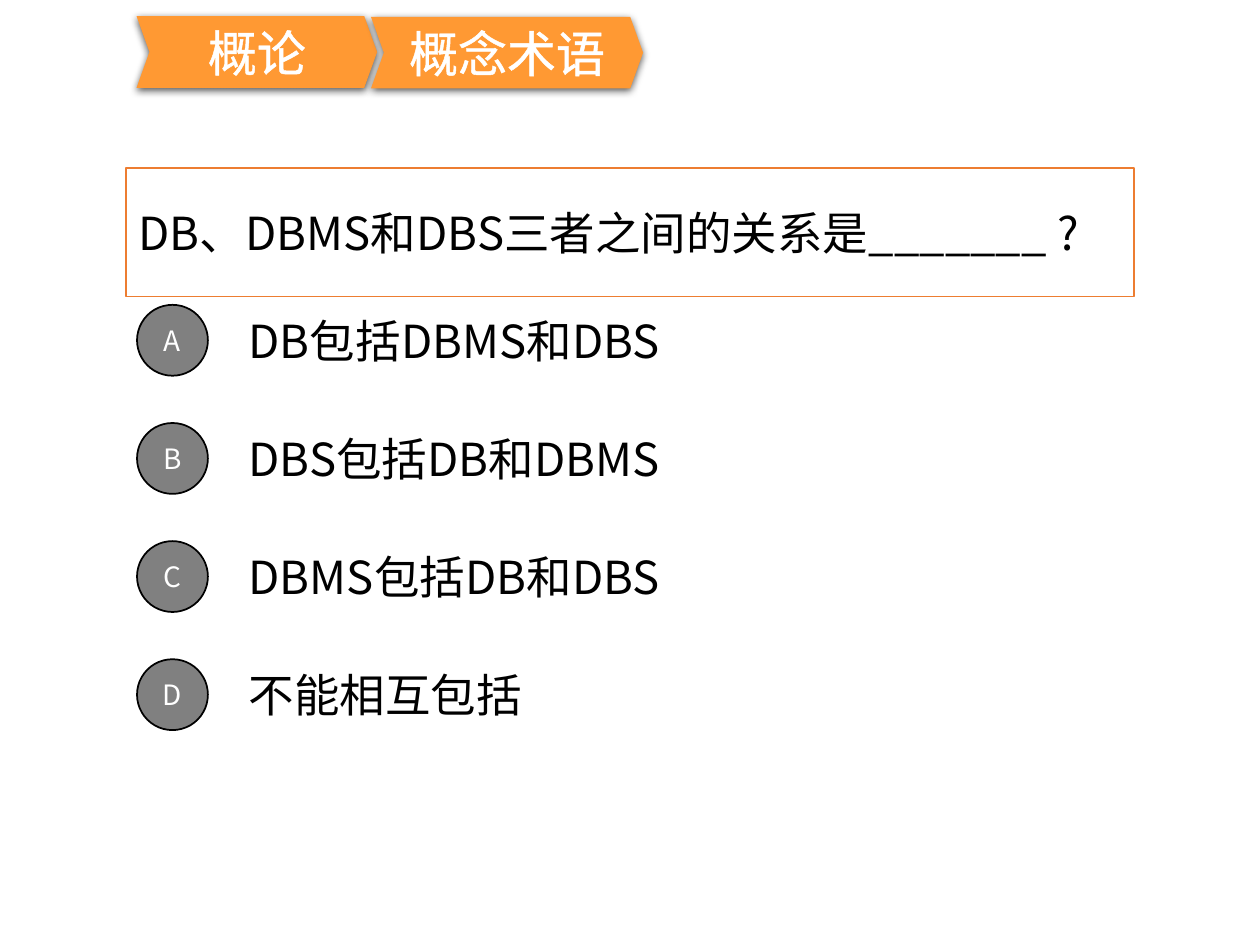
from lxml import etree
from pptx import Presentation
from pptx.dml.color import RGBColor
from pptx.enum import shapes, text
from pptx.oxml import parse_xml
from pptx.oxml.ns import nsdecls, qn
from pptx.util import Pt

FONT = "Noto Sans CJK SC"
COLORS = {"white": "FFFFFF", "black": "000000", "gray": "808080",
          "orange": "FF9933", "border": "ED7D31"}


def set_text(s, words, size, color, align=text.PP_ALIGN.LEFT):
    """Write one vertically centred paragraph and return its font."""
    tf = s.text_frame
    tf.word_wrap = True
    tf.auto_size = text.MSO_AUTO_SIZE.NONE
    tf.vertical_anchor = text.MSO_ANCHOR.MIDDLE
    p = tf.paragraphs[0]
    p.text = words
    p.alignment = align
    p.font.size = Pt(size)
    p.font.name = FONT
    p.font.color.rgb = RGBColor.from_string(COLORS[color])
    props = p._p.pPr.find(qn("a:defRPr"))
    etree.SubElement(props, qn("a:ea"), typeface=FONT)
    return p.font


def set_box(s, fill, line=None):
    s.fill.solid()
    s.fill.fore_color.rgb = RGBColor.from_string(COLORS[fill])
    if line:
        s.line.color.rgb = RGBColor.from_string(COLORS[line])
        s.line.width = Pt(1)
    else:
        s.line.fill.background()


prs = Presentation()
prs.slide_width, prs.slide_height = Pt(720), Pt(540)
slide = prs.slides.add_slide(prs.slide_layouts[5])

# Question
question = slide.shapes.title
question.left, question.top = Pt(72), Pt(96)
question.width, question.height = Pt(576), Pt(73.5)
set_box(question, "white", "border")
set_text(question, "DB、DBMS和DBS三者之间的关系是_______ ?", 26, "black")

# Answers
answers = ["DB包括DBMS和DBS", "DBS包括DB和DBMS", "DBMS包括DB和DBS", "不能相互包括"]
for i, (letter, answer) in enumerate(zip("ABCD", answers)):
    top = 169.2 + i * 67.5
    label = slide.shapes.add_textbox(Pt(135), Pt(top), Pt(504), Pt(50.4))
    set_text(label, answer, 26, "black")
    badge = slide.shapes.add_shape(shapes.MSO_SHAPE.OVAL, Pt(78.3), Pt(top + 5),
                                   Pt(40.5), Pt(40.5))
    badge.shadow.inherit = False
    set_box(badge, "gray", "black")
    set_text(badge, letter, 16, "white", text.PP_ALIGN.CENTER)

# Breadcrumb
for words, left, top, width in [("概论", 78, 9.2, 137.5), ("概念术语", 212, 9.6, 155.5)]:
    crumb = slide.shapes.add_shape(shapes.MSO_SHAPE.CHEVRON, Pt(left), Pt(top),
                                   Pt(width), Pt(41))
    crumb.adjustments[0] = 0.18
    set_box(crumb, "orange")
    crumb.shadow.inherit = False
    effects = crumb._element.spPr.find(qn("a:effectLst"))
    effects.append(parse_xml(
        f'<a:outerShdw {nsdecls("a")} blurRad="{Pt(4.5)}" dist="{Pt(1.5)}" dir="5400000" '
        f'rotWithShape="0"><a:srgbClr val="{COLORS["black"]}"><a:alpha val="63000"/>'
        '</a:srgbClr></a:outerShdw>'))
    set_text(crumb, words, 28, "white", text.PP_ALIGN.CENTER)
    props = crumb.text_frame.paragraphs[0]._p.pPr.find(qn("a:defRPr"))
    props.insert(0, parse_xml(
        f'<a:ln {nsdecls("a")} w="{Pt(1.45)}"><a:solidFill>'
        f'<a:srgbClr val="{COLORS["white"]}"/></a:solidFill></a:ln>'))

prs.save("out.pptx")
